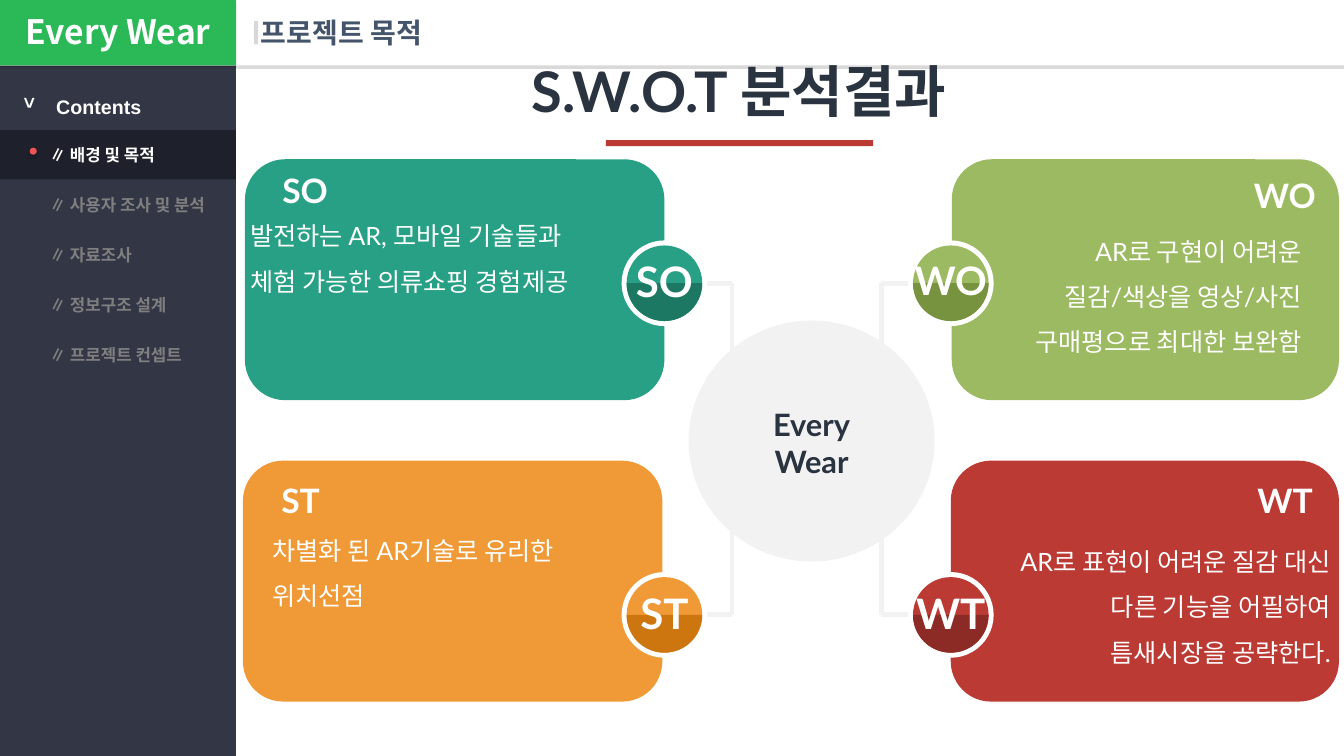
import math
import pptx
import pptx.util
import pptx.dml.color
import pptx.enum.shapes
import pptx.enum.text
import pptx.oxml
import pptx.oxml.ns
from lxml import etree

RGB = pptx.dml.color.RGBColor
Inches = pptx.util.Inches
Pt = pptx.util.Pt
SHAPE = pptx.enum.shapes.MSO_SHAPE
ALIGN = pptx.enum.text.PP_ALIGN
ANCHOR = pptx.enum.text.MSO_ANCHOR
qn = pptx.oxml.ns.qn

WHITE = RGB(0xFF, 0xFF, 0xFF)
BLACK = RGB(0x00, 0x00, 0x00)
SIDEBAR = RGB(0x33, 0x36, 0x45)
ACTIVE = RGB(0x1E, 0x20, 0x2C)
MUTED = RGB(0x7F, 0x7F, 0x7F)
BRIGHT_GREEN = RGB(0x2B, 0xB9, 0x57)
MARK = RGB(0xD8, 0xD8, 0xD8)
SLATE = RGB(0x44, 0x54, 0x6A)
INK = RGB(0x2A, 0x33, 0x40)
PALE = RGB(0xF2, 0xF2, 0xF2)
DOT = RGB(0xEC, 0x53, 0x53)
TEAL = RGB(0x28, 0xA0, 0x85)
TEAL_DARK = RGB(0x1D, 0x78, 0x63)
GREEN = RGB(0x9C, 0xBA, 0x61)
GREEN_DARK = RGB(0x77, 0x93, 0x40)
ORANGE = RGB(0xF0, 0x9A, 0x37)
ORANGE_DARK = RGB(0xCD, 0x75, 0x0F)
RED = RGB(0xBB, 0x3A, 0x34)
RED_DARK = RGB(0x8C, 0x2B, 0x26)

KOREAN = "Noto Sans CJK KR"
WIDE_INSETS = (0.1, 0.05)
NARROW_INSETS = (0.05, 0.02)

MENU = ["배경 및 목적", "사용자 조사 및 분석", "자료조사", "정보구조 설계", "프로젝트 컨셉트"]
LEFT_X, RIGHT_X, TOP_Y, BOTTOM_Y = 6.59, 9.43, 2.81, 6.1
QUADRANTS = [
    dict(code="WT", color=RED, dark=RED_DARK, card=(9.43, 4.57, 3.85, 2.39),
         center=(RIGHT_X, BOTTOM_Y), size=30, align=ALIGN.RIGHT,
         head=(11.64, 4.74, 1.43, 0.64), body=(9.79, 5.25, 3.46, 1.53),
         lines="AR로 표현이 어려운 질감 대신\n다른 기능을 어필하여\n틈새시장을 공략한다."),
    dict(code="WO", color=GREEN, dark=GREEN_DARK, card=(9.44, 1.58, 3.84, 2.39),
         center=(RIGHT_X, TOP_Y), size=28, align=ALIGN.RIGHT,
         head=(10.89, 1.72, 2.21, 0.67), body=(9.96, 2.17, 3, 1.7),
         lines="AR로 구현이 어려운\n질감/색상을 영상/사진\n구매평으로 최대한 보완함"),
    dict(code="ST", color=ORANGE, dark=ORANGE_DARK, card=(2.41, 4.57, 4.16, 2.39),
         center=(LEFT_X, BOTTOM_Y), size=30, align=ALIGN.LEFT,
         head=(2.74, 4.74, 2.27, 0.64), body=(2.65, 5.14, 3.58, 1.53),
         lines="차별화 된 AR기술로 유리한\n위치선점"),
    dict(code="SO", color=TEAL, dark=TEAL_DARK, card=(2.43, 1.58, 4.16, 2.39),
         center=(LEFT_X, TOP_Y), size=30, align=ALIGN.LEFT,
         head=(2.75, 1.67, 2.45, 0.67), body=(2.43, 2.02, 4.24, 1.7),
         lines="발전하는 AR, 모바일 기술들과\n체험 가능한 의류쇼핑 경험제공"),
]


def write(tf, text, size=18, color=WHITE, font="Lato", bold=True, align=ALIGN.LEFT,
          spacing=None, anchor=ANCHOR.TOP, insets=NARROW_INSETS):
    tf.word_wrap = True
    tf.vertical_anchor = anchor
    tf.margin_left = tf.margin_right = Inches(insets[0])
    tf.margin_top = tf.margin_bottom = Inches(insets[1])
    for i, line in enumerate(text.split("\n")):
        p = tf.add_paragraph() if i else tf.paragraphs[0]
        p.alignment = align
        if spacing:
            p.line_spacing = spacing
        r = p.add_run()
        r.text = line
        r.font.size = Pt(size)
        r.font.bold = bold
        r.font.color.rgb = color
        r.font.name = font
        etree.SubElement(r.font._element, qn("a:ea"), typeface=KOREAN)


class Deck:
    def __init__(self):
        self.prs = pptx.Presentation()
        self.prs.slide_width = Inches(13.33)
        self.prs.slide_height = Inches(7.5)
        self.s = self.prs.slides.add_slide(self.prs.slide_layouts[6])

    def paint(self, sp, color):
        sp.shadow.inherit = False
        sp.fill.solid()
        sp.fill.fore_color.rgb = color
        sp.line.fill.background()
        return sp

    def shape(self, box, color, kind=SHAPE.RECTANGLE):
        sp = self.s.shapes.add_shape(kind, *map(Inches, box))
        return self.paint(sp, color)

    def disc(self, center, diameter, color):
        x, y = center
        r = diameter / 2
        return self.shape((x - r, y - r, diameter, diameter), color, SHAPE.OVAL)

    def half_disc(self, center, diameter, color):
        x, y = center
        r = diameter / 2
        points = [(Inches(x + r * math.cos(math.radians(a))),
                   Inches(y + r * math.sin(math.radians(a)))) for a in range(0, 181, 5)]
        builder = self.s.shapes.build_freeform(*points[0])
        builder.add_line_segments(points[1:], close=True)
        return self.paint(builder.convert_to_shape(), color)

    def drop_shadow(self, sp, points, percent):
        effects = sp._element.spPr.find(qn("a:effectLst"))
        shadow = etree.SubElement(effects, qn("a:outerShdw"), blurRad=str(Pt(points)),
                                  dist=str(Pt(points)), dir="5400000", algn="t", rotWithShape="0")
        tint = etree.SubElement(shadow, qn("a:srgbClr"), val=str(BLACK))
        etree.SubElement(tint, qn("a:alpha"), val=str(percent * 1000))

    def text(self, box, text, **style):
        sp = self.s.shapes.add_textbox(*map(Inches, box))
        write(sp.text_frame, text, **style)
        return sp

    def line(self, x1, y1, x2, y2, color, width):
        kind = pptx.enum.shapes.MSO_CONNECTOR.STRAIGHT
        sp = self.s.shapes.add_connector(kind, *map(Inches, (x1, y1, x2, y2)))
        sp.line.color.rgb = color
        sp.line.width = Pt(width)
        etree.SubElement(sp._element.spPr, qn("a:effectLst"))

    def frame(self):
        header = self.shape((2.34, 0, 11, 0.65), WHITE)
        self.drop_shadow(header, 1, 15)
        self.shape((0, 0.65, 2.34, 6.85), SIDEBAR)
        brand = self.shape((0, 0, 2.34, 0.65), BRIGHT_GREEN)
        self.drop_shadow(brand, 1, 15)
        self.shape((2.52, 0.21, 0.04, 0.23), MARK, SHAPE.ROUNDED_RECTANGLE)
        self.text((2.49, 0.13, 10.63, 0.38), "프로젝트 목적", size=20, color=SLATE,
                  font=KOREAN, anchor=ANCHOR.MIDDLE, insets=WIDE_INSETS)
        self.text((-0.05, 0.1, 2.44, 0.49), "Every Wear", size=24, font=KOREAN,
                  align=ALIGN.CENTER, spacing=0.9, insets=WIDE_INSETS)

    def menu(self):
        self.text((0.46, 0.89, 1.3, 0.34), "Contents", size=14, font="Arial", insets=WIDE_INSETS)
        arrow = self.text((0.13, 0.87, 0.34, 0.34), ">", size=14, font="Arial", insets=WIDE_INSETS)
        arrow.rotation = 90
        for i, label in enumerate(MENU):
            item = self.shape((0, 1.29 + 0.495 * i, 2.34, 0.49), SIDEBAR if i else ACTIVE)
            write(item.text_frame, "∥ " + label, size=12, font="Arial",
                  color=MUTED if i else WHITE, anchor=ANCHOR.MIDDLE, insets=WIDE_INSETS)
            item.text_frame.margin_left = Inches(0.49)
        dot = self.disc((0.33, 1.5), 0.07, DOT)
        self.drop_shadow(dot, 2, 20)

    def badge(self, q):
        x, y = q["center"]
        self.disc(q["center"], 0.85, WHITE)
        self.disc(q["center"], 0.75, q["color"])
        self.half_disc(q["center"], 0.75, q["dark"])
        self.text((x - 0.43, y - 0.29, 0.86, 0.56), q["code"], size=q["size"], align=ALIGN.CENTER)

    def matrix(self):
        for q in QUADRANTS:
            self.shape(q["card"], q["color"], SHAPE.ROUNDED_RECTANGLE)
        for edge, spine in ((LEFT_X, 7.26), (RIGHT_X, 8.74)):
            self.line(spine, TOP_Y, spine, BOTTOM_Y, PALE, 3.5)
            for y in (TOP_Y, BOTTOM_Y):
                self.line(edge, y, spine, y, PALE, 3.5)
        self.shape((6.83, 3.18, 2.44, 2.39), PALE, SHAPE.OVAL)
        for q in QUADRANTS:
            self.badge(q)
            self.text(q["body"], q["lines"], bold=False, align=q["align"], spacing=1.5)
            self.text(q["head"], q["code"], size=24, align=q["align"])
        self.text((7.3, 4.01, 1.5, 1.16), "Every\nWear", size=22, color=INK, align=ALIGN.CENTER)

    def heading(self):
        self.shape((6.01, 1.39, 2.65, 0.06), RED)
        self.text((4.6, 0.54, 5.46, 0.72), "S.W.O.T 분석결과", size=40, color=INK, align=ALIGN.CENTER)


def main():
    deck = Deck()
    deck.frame()
    deck.menu()
    deck.matrix()
    deck.heading()
    deck.prs.save("out.pptx")


if __name__ == "__main__":
    main()
